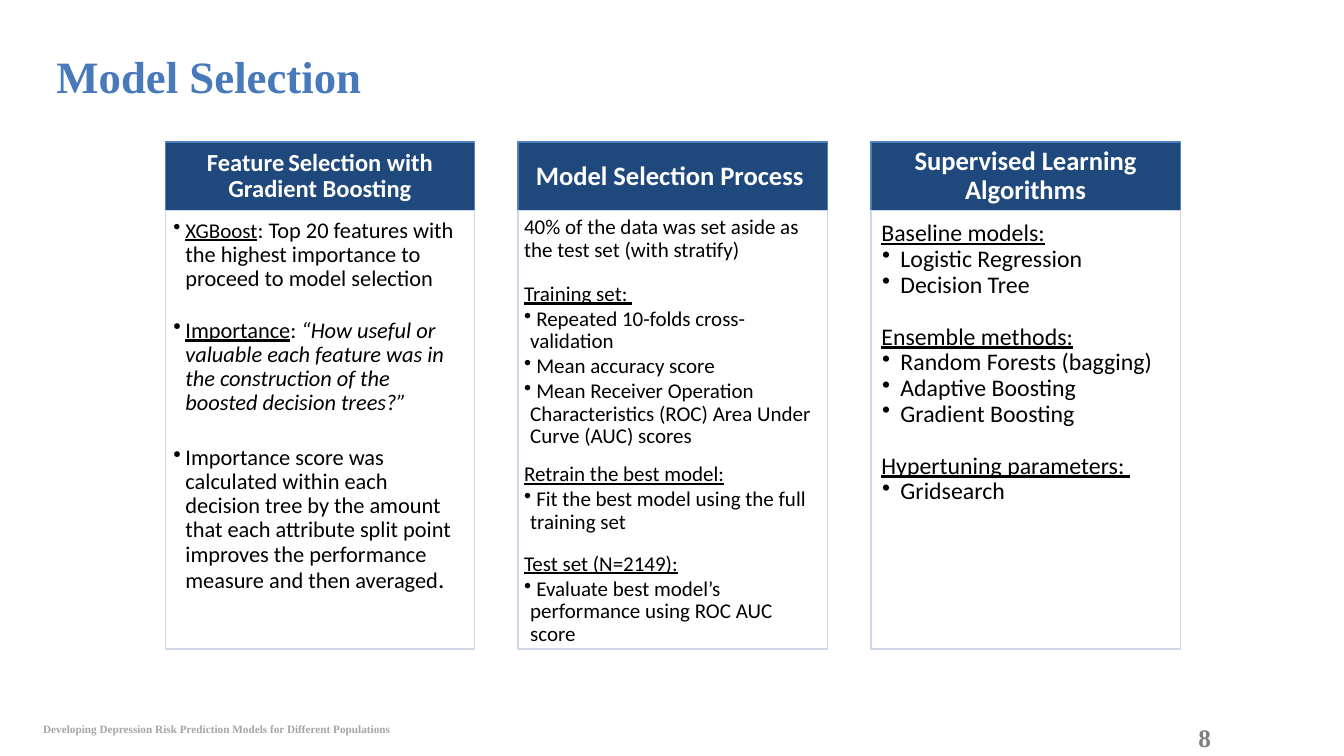
from lxml.etree import SubElement
from pptx import Presentation
from pptx.dml.color import RGBColor
from pptx.enum.shapes import MSO_SHAPE as SHAPE
from pptx.enum.text import MSO_ANCHOR as ANCHOR, PP_ALIGN as ALIGN
from pptx.oxml.ns import qn
from pptx.util import Pt

COLORS = {
    "title": "4779BB", "header": "1F497D", "header_line": "4F81BD",
    "panel_line": "CFD7E7", "white": "FFFFFF", "black": "000000",
    "footer": "A5A5A5", "number": "7E7E7E",
}
LEFT, TOP, WIDTH, STEP = 118.1, 101.5, 221, 252
HEADER_H, PANEL_H = 49, 313


def color(name):
    return RGBColor.from_string(COLORS[name])


def add_run(p, text, size, ink, style="", font="Calibri"):
    r = p.add_run()
    r.text = text
    f = r.font
    f.name, f.size = font, Pt(size)
    f.color.rgb = color(ink)
    f.bold, f.italic, f.underline = "b" in style, "i" in style, "u" in style


def set_frame(tf, left=0, top=0, right=0, bottom=0):
    tf.word_wrap = True
    tf.margin_left, tf.margin_top = Pt(left), Pt(top)
    tf.margin_right, tf.margin_bottom = Pt(right), Pt(bottom)


def add_label(s, box, text, size, ink, spacing=1.0):
    tf = s.shapes.add_textbox(*map(Pt, box)).text_frame
    set_frame(tf)
    p = tf.paragraphs[0]
    p.line_spacing = spacing
    add_run(p, text, size, ink, "b", "Times New Roman")


def add_rect(s, x, y, h, fill, line):
    sp = s.shapes.add_shape(SHAPE.RECTANGLE, Pt(x), Pt(y), Pt(WIDTH), Pt(h))
    sp.shadow.inherit = False
    sp.fill.solid()
    sp.fill.fore_color.rgb = color(fill)
    sp.line.color.rgb = color(line)
    sp.line.width = Pt(1)
    return sp.text_frame


def add_bullet(p, margin, indent):
    pPr = p._p.get_or_add_pPr()
    pPr.set("marL", str(Pt(margin)))
    pPr.set("indent", str(Pt(indent)))
    clr = SubElement(pPr, qn("a:buClr"))
    SubElement(clr, qn("a:srgbClr")).set("val", COLORS["black"])
    SubElement(pPr, qn("a:buChar")).set("char", "•")


def add_header(s, x, runs, inset):
    tf = add_rect(s, x, TOP, HEADER_H, "header", "header_line")
    set_frame(tf, inset, inset * 0.57, inset, inset * 0.57)
    tf.vertical_anchor = ANCHOR.MIDDLE
    p = tf.paragraphs[0]
    p.alignment = ALIGN.CENTER
    p.line_spacing = 0.9
    for text, size in runs:
        add_run(p, text, size, "white", "b")


def add_panel(s, x, inset, hang, paragraphs):
    tf = add_rect(s, x, TOP + HEADER_H, PANEL_H, "white", "panel_line")
    set_frame(tf, inset, inset, inset * 1.35, inset * 1.5)
    tf.vertical_anchor = ANCHOR.TOP
    for i, (bulleted, before, runs) in enumerate(paragraphs):
        p = tf.paragraphs[0] if i == 0 else tf.add_paragraph()
        if bulleted:
            add_bullet(p, *hang)
        p.alignment = ALIGN.LEFT
        p.line_spacing = 0.9
        p.space_before = Pt(before)
        for text, size, style in runs:
            add_run(p, text, size, "black", style)


def section(size, gap, before, heading, items):
    return [(False, gap, [(heading, size, "u")])] + [
        (True, before, [(item, size, "")]) for item in items]


def feature_paragraphs():
    return [
        (True, 0, [("XGBoost", 15, "u"),
                   (": Top 20 features with the highest importance to "
                    "proceed to model selection", 16, "")]),
        (True, 19.7, [("Importance", 16, "u"), (": ", 16, ""),
                      ("“How useful or valuable each feature was in the "
                       "construction of the boosted decision trees?”", 16, "i")]),
        (True, 21.8, [("Importance score was calculated within each decision "
                       "tree by the amount that each attribute split point "
                       "improves the performance measure and then averaged",
                       16, ""), (".", 18, "")]),
    ]


def process_paragraphs():
    intro = "40% of the data was set aside as the test set (with stratify)"
    return [
        (False, 0, [(intro, 15, "")]),
        *section(15, 15.1, 1.5, "Training set: ", [
            " Repeated 10-folds cross-validation",
            " Mean accuracy score",
            " Mean Receiver Operation Characteristics (ROC) Area Under Curve "
            "(AUC) scores"]),
        *section(15, 10.7, 1.5, "Retrain the best model:", [
            " Fit the best model using the full training set"]),
        *section(15, 14, 1.5, "Test set (N=2149):", [
            " Evaluate best model’s performance using ROC AUC score"]),
    ]


def algorithm_paragraphs():
    return [
        *section(17, 0, 0, "Baseline models:",
                 ["Logistic Regression", "Decision Tree"]),
        *section(17, 18.7, 0, "Ensemble methods:",
                 ["Random Forests (bagging)", "Adaptive Boosting",
                  "Gradient Boosting"]),
        *section(17, 18.7, 0, "Hypertuning parameters: ", ["Gridsearch"]),
    ]


def main():
    prs = Presentation()
    prs.slide_width, prs.slide_height = Pt(960), Pt(540)
    s = prs.slides.add_slide(prs.slide_layouts[6])
    add_label(s, (856, 513.4, 22.3, 22.3), "8", 18, "number", 1.12)
    add_label(s, (30.8, 516, 270, 10.8),
              "Developing Depression Risk Prediction Models for Different "
              "Populations", 8, "footer")
    add_label(s, (40.3, 34.6, 879, 39), "Model Selection", 32, "title")
    columns = [
        ([("Feature", 17.5), (" ", 12),
          ("Selection with Gradient Boosting", 17.5)], 6.5,
         5.8, (8.6, -9.3), feature_paragraphs()),
        ([("Model Selection Process ", 19)], 8,
         4.3, (4.3, -7.2), process_paragraphs()),
        ([("Supervised Learning Algorithms", 19)], 12.2,
         7.5, (13.6, -13), algorithm_paragraphs()),
    ]
    for i, (title, title_inset, inset, hang, paragraphs) in enumerate(columns):
        x = LEFT + i * STEP
        add_header(s, x, title, title_inset)
        add_panel(s, x, inset, hang, paragraphs)
    prs.save("out.pptx")


if __name__ == "__main__":
    main()
